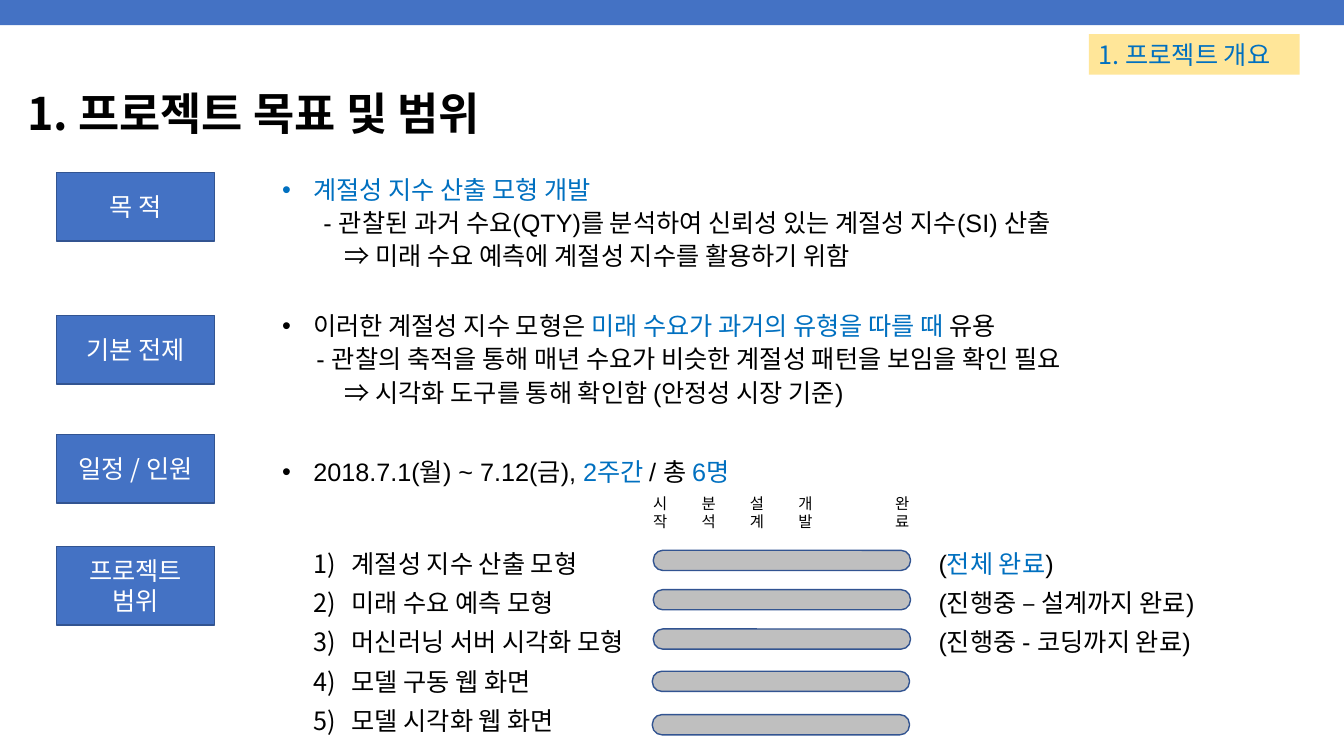
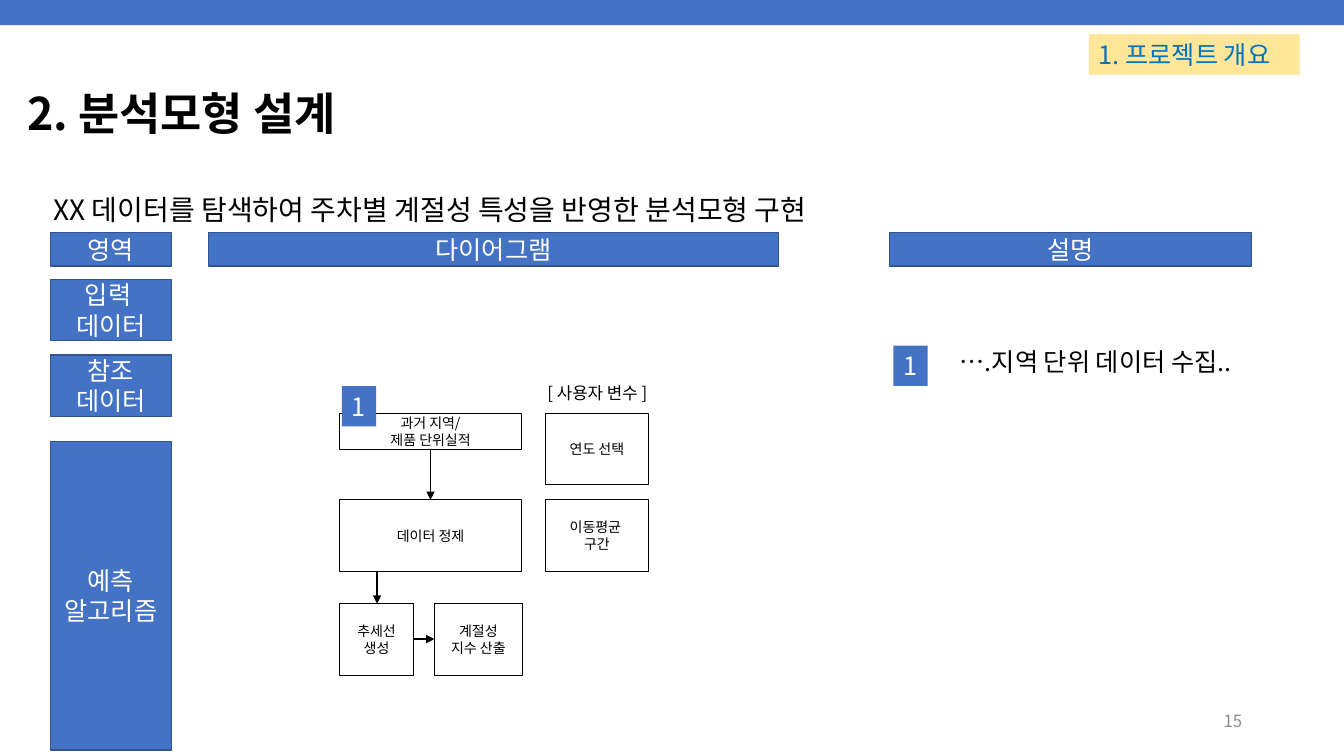
from dataclasses import dataclass
from typing import Any, Optional

import pptx
import pptx.dml.color
import pptx.enum.shapes
import pptx.enum.text
import pptx.oxml.ns
import pptx.util
from lxml import etree

Inches = pptx.util.Inches
Pt = pptx.util.Pt
RGB = pptx.dml.color.RGBColor
Shape = pptx.enum.shapes.MSO_SHAPE
Align = pptx.enum.text.PP_ALIGN
Anchor = pptx.enum.text.MSO_ANCHOR
qn = pptx.oxml.ns.qn

BLUE = RGB(0x44, 0x72, 0xC4)
EDGE = RGB(0x32, 0x54, 0x91)
TEXT_BLUE = RGB(0x00, 0x70, 0xC0)
SAND = RGB(0xFF, 0xE6, 0x99)
GRAY = RGB(0xBF, 0xBF, 0xBF)
DIM = RGB(0x8C, 0x8C, 0x8C)
BLACK = RGB(0, 0, 0)
WHITE = RGB(0xFF, 0xFF, 0xFF)
NOTO = "Noto Sans CJK KR"
ARIAL = "Arial"


@dataclass(frozen=True)
class Box:
    left: float
    top: float
    width: float
    height: float


@dataclass(frozen=True)
class Look:
    size: float = 18
    color: RGB = BLACK
    font: str = NOTO
    bold: bool = False
    align: Any = Align.LEFT
    anchor: Any = Anchor.TOP
    space: float = 1.0
    inset: Optional[float] = None
    wrap: bool = True


@dataclass(frozen=True)
class Run:
    text: str
    color: Optional[RGB] = None


@dataclass(frozen=True)
class Line:
    runs: tuple[Run, ...]
    left: float = 0
    hang: float = 0
    mark: str = ""


@dataclass(frozen=True)
class Skin:
    fill: RGB
    edge: Optional[RGB] = None
    width: float = 1


LABEL = Look(color=WHITE, align=Align.CENTER, anchor=Anchor.MIDDLE)
BODY = Look(font=ARIAL, space=1.1)
LIST = Look(font=ARIAL, space=1.3)
STEP = Look(11, wrap=False)
FLOW = Look(10, align=Align.CENTER, anchor=Anchor.MIDDLE, inset=0.08)
BADGE = Look(color=WHITE, wrap=False)

PLAIN = Skin(BLUE)
PANEL = Skin(BLUE, EDGE)
BAR = Skin(GRAY, EDGE)
NODE = Skin(WHITE, BLACK, 0.75)


def plain(text: str) -> list[Line]:
    """Make one unmarked line from each row of the text."""
    return [Line((Run(row),)) for row in text.split("\n")]


def dot(*runs: Run) -> Line:
    return Line(runs, 0.31, -0.31, "•")


def sub(text: str, left: float) -> Line:
    return Line((Run(text),), left)


def add_mark(props: Any, mark: str) -> None:
    font = etree.SubElement(props, qn("a:buFont"))
    if mark == "#":
        font.set("typeface", NOTO)
        etree.SubElement(props, qn("a:buAutoNum")).set("type", "arabicParenR")
    else:
        font.set("typeface", ARIAL)
        etree.SubElement(props, qn("a:buChar")).set("char", mark)


def write(shape: Any, lines: list[Line], look: Look) -> None:
    frame = shape.text_frame
    frame.word_wrap = look.wrap
    frame.vertical_anchor = look.anchor
    if look.inset is not None:
        frame.margin_left = frame.margin_right = Inches(look.inset)
        frame.margin_top = frame.margin_bottom = Inches(look.inset)
    for spot, line in enumerate(lines):
        para = frame.add_paragraph() if spot else frame.paragraphs[0]
        para.alignment = look.align
        para.line_spacing = look.space
        props = para._p.get_or_add_pPr()
        props.set("marL", str(Inches(line.left)))
        props.set("indent", str(Inches(line.hang)))
        if line.mark:
            add_mark(props, line.mark)
        for part in line.runs:
            run = para.add_run()
            run.text = part.text
            run.font.size = Pt(look.size)
            run.font.bold = look.bold
            run.font.name = look.font
            run.font.color.rgb = look.color if part.color is None else part.color
            east = etree.SubElement(run._r.get_or_add_rPr(), qn("a:ea"))
            east.set("typeface", NOTO)


def add_text(slide: Any, box: Box, lines: list[Line], look: Look) -> None:
    shape = slide.shapes.add_textbox(
        Inches(box.left), Inches(box.top), Inches(box.width), Inches(box.height))
    write(shape, lines, look)


def add_block(slide: Any, box: Box, skin: Skin, text: str = "",
              look: Look = LABEL, kind: Any = Shape.RECTANGLE) -> Any:
    shape = slide.shapes.add_shape(
        kind, Inches(box.left), Inches(box.top), Inches(box.width), Inches(box.height))
    shape.shadow.inherit = False
    shape.fill.solid()
    shape.fill.fore_color.rgb = skin.fill
    if skin.edge is None:
        shape.line.fill.background()
    else:
        shape.line.color.rgb = skin.edge
        shape.line.width = Pt(skin.width)
    if text:
        write(shape, plain(text), look)
    return shape


def add_arrow(slide: Any, x1: float, y1: float, x2: float, y2: float) -> None:
    link = slide.shapes.add_connector(
        pptx.enum.shapes.MSO_CONNECTOR.STRAIGHT,
        Inches(x1), Inches(y1), Inches(x2), Inches(y2))
    link.line.color.rgb = BLACK
    link.line.width = Pt(1.25)
    props = link._element.spPr
    etree.SubElement(props.find(qn("a:ln")), qn("a:tailEnd")).set("type", "triangle")
    etree.SubElement(props, qn("a:effectLst"))


def start(deck: Any, title: str) -> Any:
    """Add a slide with the shared band, title and chapter tag."""
    slide = deck.slides.add_slide(deck.slide_layouts[6])
    add_block(slide, Box(0, 0, 13.33, 0.25), PLAIN)
    add_text(slide, Box(0.17, 0.71, 12.93, 0.89), plain(title),
             Look(32, bold=True, anchor=Anchor.MIDDLE, space=0.9))
    add_block(slide, Box(10.8, 0.34, 2.09, 0.4), Skin(SAND),
              "1. 프로젝트 개요", Look(color=TEXT_BLUE))
    return slide


def draw_goals(deck: Any) -> None:
    slide = start(deck, "1. 프로젝트 목표 및 범위")
    heads = [("목 적", 1.71, 0.68), ("기본 전제", 3.13, 0.68),
             ("일정 / 인원", 4.31, 0.68), ("프로젝트\n범위", 5.42, 0.78)]
    for text, top, height in heads:
        add_block(slide, Box(0.56, top, 1.57, height), PANEL, text)

    add_text(slide, Box(2.7, 1.65, 10.13, 1.1), [
        dot(Run("계절성 지수 산출 모형 개발", TEXT_BLUE)),
        sub("- 관찰된 과거 수요(QTY)를 분석하여 신뢰성 있는 계절성 지수(SI) 산출", 0.41),
        sub("⇒ 미래 수요 예측에 계절성 지수를 활용하기 위함", 0.62),
    ], BODY)
    add_text(slide, Box(2.7, 3, 9.32, 1.1), [
        dot(Run("이러한 계절성 지수 모형은 "),
            Run("미래 수요가 과거의 유형을 따를 때 ", TEXT_BLUE), Run("유용")),
        sub("- 관찰의 축적을 통해 매년 수요가 비슷한 계절성 패턴을 보임을 확인 필요", 0.34),
        sub("⇒ 시각화 도구를 통해 확인함 (안정성 시장 기준)", 0.62),
    ], BODY)
    add_text(slide, Box(2.7, 4.45, 8.6, 0.41), [
        dot(Run("2018.7.1(월) ~ 7.12(금), "), Run("2주간 ", TEXT_BLUE),
            Run("/ 총 "), Run("6명", TEXT_BLUE)),
    ], BODY)

    tasks = ["계절성 지수 산출 모형", "미래 수요 예측 모형", "머신러닝 서버 시각화 모형",
             "모델 구동 웹 화면", "모델 시각화 웹 화면"]
    add_text(slide, Box(3.01, 5.3, 3.68, 2.03),
             [Line((Run(task),), 0.38, -0.38, "#") for task in tasks], LIST)
    add_text(slide, Box(9.21, 5.3, 3.68, 1.24), [
        Line((Run("("), Run("전체 완료", TEXT_BLUE), Run(")"))),
        *plain("(진행중 – 설계까지 완료)\n(진행중 - 코딩까지 완료)"),
    ], LIST)

    steps = {0: "시\n작", 1: "분\n석", 2: "설\n계", 3: "개\n발", 5: "완\n료"}
    for slot, text in steps.items():
        add_text(slide, Box(6.38 + 0.48 * slot, 4.85, 0.34, 0.47), plain(text), STEP)
    bars = [(6.48, 5.46), (6.48, 5.85), (6.48, 6.24), (6.47, 6.66), (6.47, 7.09)]
    for left, top in bars:
        bar = add_block(slide, Box(left, top, 2.55, 0.2), BAR,
                        kind=Shape.ROUNDED_RECTANGLE)
        bar.adjustments[0] = 0.47


def draw_model(deck: Any) -> None:
    slide = start(deck, "2. 분석모형 설계")
    add_text(slide, Box(0.43, 1.9, 12.41, 0.65),
             plain("XX 데이터를 탐색하여 주차별 계절성 특성을 반영한 분석모형 구현"),
             Look(20, space=0.9))

    for text, left, width in [("영역", 0.5, 1.2), ("다이어그램", 2.07, 5.65),
                              ("설명", 8.82, 3.59)]:
        add_block(slide, Box(left, 2.31, width, 0.33), PANEL, text)
    for text, top, height in [("입력 \n데이터", 2.77, 0.61), ("참조\n데이터", 3.52, 0.61),
                              ("예측\n알고리즘", 4.38, 3.06)]:
        add_block(slide, Box(0.5, top, 1.2, height), PANEL, text)

    nodes = [
        ("과거 지역/\n제품 단위실적", Box(3.37, 4.1, 1.8, 0.36)),
        ("데이터 정제", Box(3.37, 4.96, 1.8, 0.71)),
        ("추세선\n생성", Box(3.37, 5.99, 0.73, 0.71)),
        ("계절성\n지수 산출", Box(4.31, 5.99, 0.87, 0.71)),
        ("연도 선택", Box(5.41, 4.1, 1.02, 0.71)),
        ("이동평균 \n구간", Box(5.41, 4.96, 1.02, 0.71)),
    ]
    for text, box in nodes:
        add_block(slide, box, NODE, text, FLOW)
    add_text(slide, Box(5.18, 3.75, 1.49, 0.3), plain("[ 사용자 변수 ]"),
             Look(12, align=Align.CENTER))
    add_arrow(slide, 4.27, 4.46, 4.27, 4.96)
    add_arrow(slide, 3.74, 5.67, 3.74, 5.99)
    add_arrow(slide, 4.1, 6.34, 4.31, 6.34)

    for left, top in [(3.39, 3.83), (8.86, 3.43)]:
        add_block(slide, Box(left, top, 0.34, 0.4), PLAIN, "1", BADGE)
    add_text(slide, Box(9.42, 3.39, 3.1, 0.4), plain("….지역 단위 데이터 수집.."),
             Look(wrap=False))
    add_text(slide, Box(9.42, 6.95, 3, 0.4), plain("15"),
             Look(12, DIM, align=Align.RIGHT, anchor=Anchor.MIDDLE))


def main() -> None:
    deck = pptx.Presentation()
    deck.slide_width = Inches(13.33)
    deck.slide_height = Inches(7.5)
    draw_goals(deck)
    draw_model(deck)
    deck.save("out.pptx")


if __name__ == "__main__":
    main()
